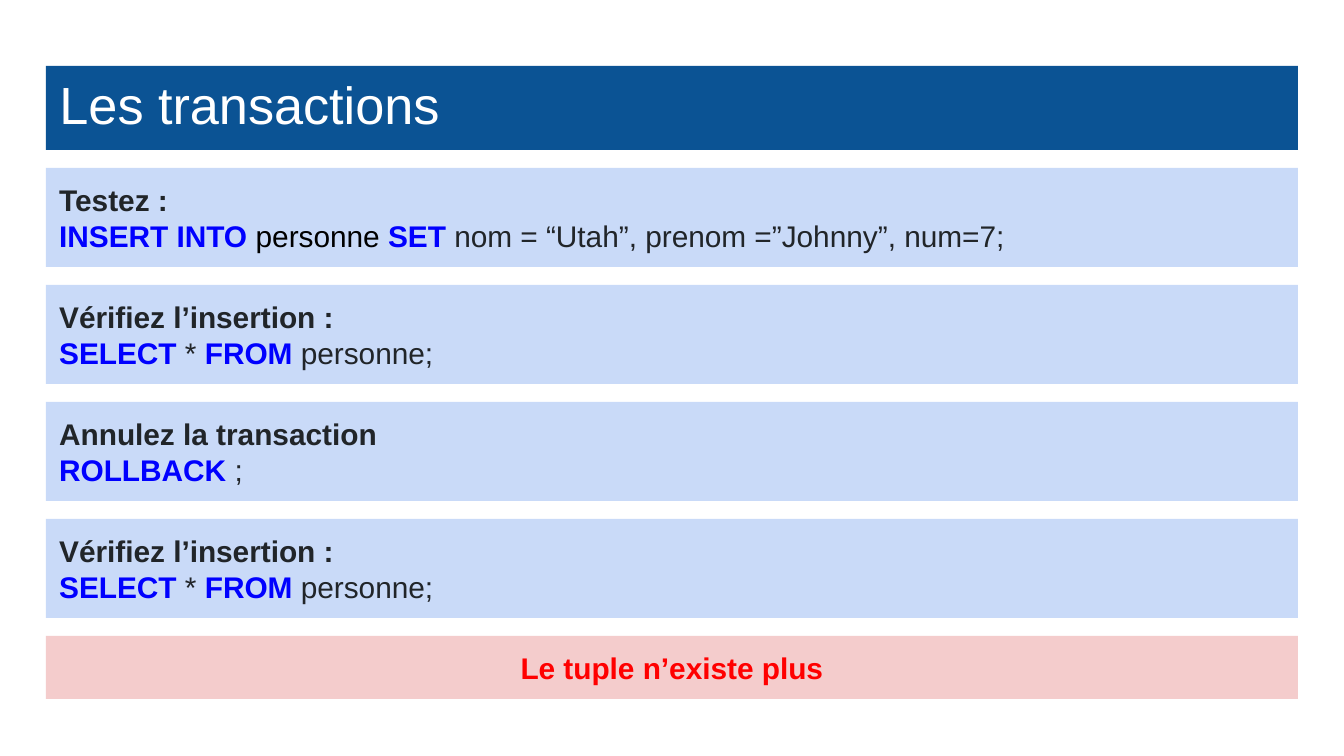
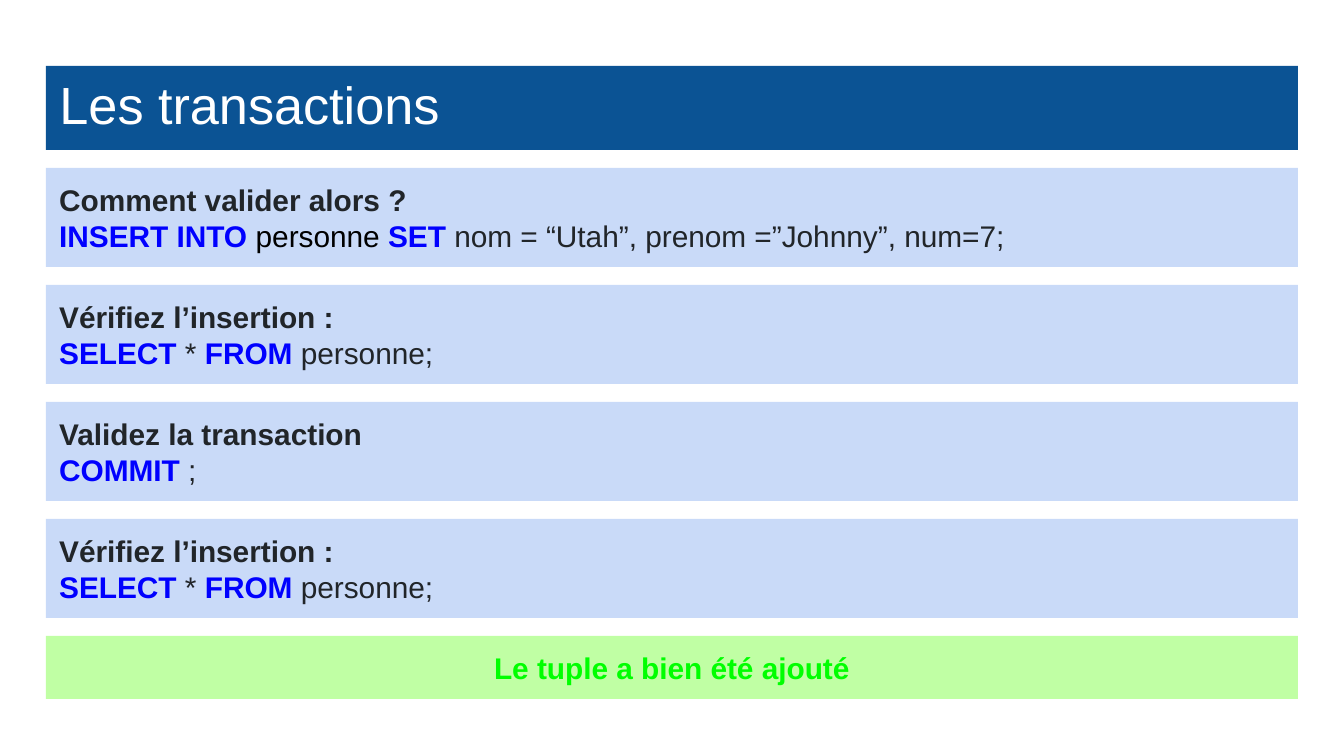
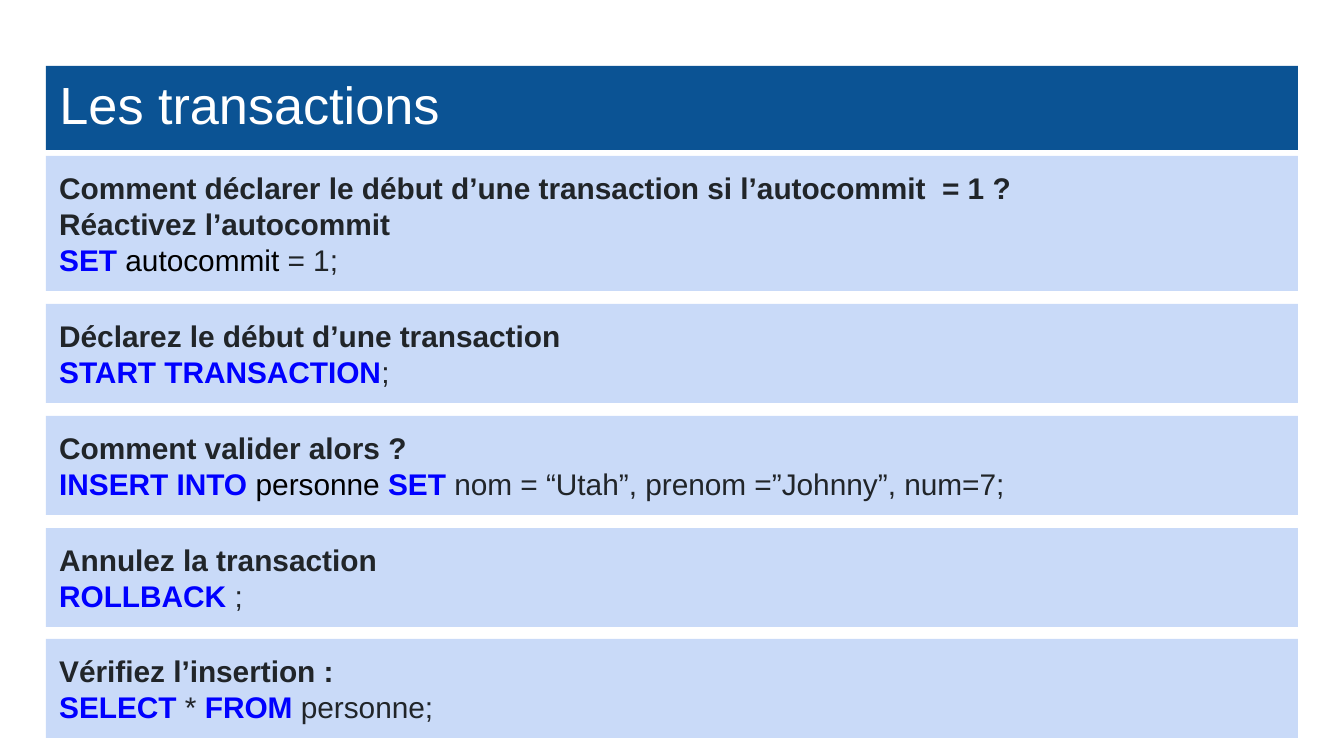
import dataclasses

import pptx
import pptx.dml.color
import pptx.enum.shapes
import pptx.enum.text
import pptx.util

ALIGN = pptx.enum.text.PP_ALIGN
ANCHOR = pptx.enum.text.MSO_ANCHOR
AUTO_SIZE = pptx.enum.text.MSO_AUTO_SIZE


# Shared look
@dataclasses.dataclass(frozen=True)
class Theme:
    font: str = "Arial"
    title_size: int = 28
    body_size: int = 16
    title_text: str = "FFFFFF"
    title_band: str = "0B5394"
    step_band: str = "C9DAF8"
    body_text: str = "212529"
    keyword: str = "0000FF"
    identifier: str = "000000"
    failure_band: str = "F4CCCC"
    failure_text: str = "FF0000"
    success_band: str = "C0FFA4"
    success_text: str = "00FF00"


THEME = Theme()

# Geometry in px
SLIDE_WIDTH, SLIDE_HEIGHT = 1344, 756
EMU_PER_PX = 9144000 / SLIDE_WIDTH
BAND_LEFT, BAND_WIDTH = 46, 1252
TITLE_TOP, TITLE_HEIGHT = 66, 84
LINE_HEIGHT, BAND_PADDING = 36, 27

# Run styles: colour and weight
HEADING = (THEME.body_text, True)
KEYWORD = (THEME.keyword, True)
IDENTIFIER = (THEME.identifier, False)
PLAIN = (THEME.body_text, False)

# SQL lines used on several slides
INSERT_PERSON = [
    ("INSERT INTO ", KEYWORD),
    ("personne", IDENTIFIER),
    (" SET", KEYWORD),
    (" nom = “Utah”, prenom =”Johnny”, num=7;", PLAIN),
]
SELECT_PERSONS = [
    ("SELECT", KEYWORD),
    (" * ", PLAIN),
    ("FROM", KEYWORD),
    (" personne;", PLAIN),
]
ROLLBACK = [("ROLLBACK", KEYWORD), (" ;", PLAIN)]
COMMIT = [("COMMIT", KEYWORD), (" ;", PLAIN)]


def px(length):
    return pptx.util.Emu(round(length * EMU_PER_PX))


def rgb(value):
    return pptx.dml.color.RGBColor.from_string(value)


def style_run(run, size, color, bold):
    run.font.name = THEME.font
    run.font.size = pptx.util.Pt(size)
    run.font.color.rgb = rgb(color)
    run.font.bold = bold


def style_band(band, fill, auto_size):
    band.fill.solid()
    band.fill.fore_color.rgb = rgb(fill)
    band.line.fill.background()
    frame = band.text_frame
    frame.word_wrap = True
    frame.auto_size = auto_size
    frame.vertical_anchor = ANCHOR.MIDDLE
    inset = pptx.util.Inches(0.1)
    frame.margin_left = frame.margin_right = inset
    frame.margin_top = frame.margin_bottom = inset


def add_titled_slide(deck, title):
    slide = deck.slides.add_slide(deck.slide_layouts[5])
    heading = slide.shapes.title
    heading.left, heading.top = px(BAND_LEFT), px(TITLE_TOP)
    heading.width, heading.height = px(BAND_WIDTH), px(TITLE_HEIGHT)
    style_band(heading, THEME.title_band, AUTO_SIZE.NONE)
    heading.text_frame.text = title
    paragraph = heading.text_frame.paragraphs[0]
    paragraph.alignment = ALIGN.LEFT
    paragraph.line_spacing = 0.9
    style_run(paragraph.runs[0], THEME.title_size, THEME.title_text, False)
    return slide


def add_band(slide, top, lines, fill=THEME.step_band, align=ALIGN.LEFT):
    """Add a band of styled lines and return its bottom edge in px."""
    height = len(lines) * LINE_HEIGHT + BAND_PADDING
    band = slide.shapes.add_shape(
        pptx.enum.shapes.MSO_SHAPE.RECTANGLE,
        px(BAND_LEFT), px(top), px(BAND_WIDTH), px(height))
    band.shadow.inherit = False
    style_band(band, fill, AUTO_SIZE.SHAPE_TO_FIT_TEXT)
    frame = band.text_frame
    for index, line in enumerate(lines):
        paragraph = frame.add_paragraph() if index else frame.paragraphs[0]
        paragraph.alignment = align
        for text, (color, bold) in line:
            run = paragraph.add_run()
            run.text = text
            style_run(run, THEME.body_size, color, bold)
    return top + height


def add_steps(slide, top, gap, steps):
    """Stack steps (headings, then SQL) and return the next free top."""
    for *headings, sql in steps:
        lines = [[(heading, HEADING)] for heading in headings] + [sql]
        top = add_band(slide, top, lines) + gap
    return top


def add_verdict(slide, top, text, fill, color):
    add_band(slide, top, [[(text, (color, True))]], fill, ALIGN.CENTER)


def main():
    deck = pptx.Presentation()
    deck.slide_width, deck.slide_height = px(SLIDE_WIDTH), px(SLIDE_HEIGHT)
    title = "Les transactions"
    check = ("Vérifiez l’insertion :", SELECT_PERSONS)
    validate = ("Comment valider alors ?", INSERT_PERSON)
    cancel = ("Annulez la transaction", ROLLBACK)

    # Insertion, then rollback
    slide = add_titled_slide(deck, title)
    verdict_top = add_steps(slide, 168, 18, [
        ("Testez :", INSERT_PERSON), check, cancel, check])
    add_verdict(slide, verdict_top, "Le tuple n’existe plus",
                THEME.failure_band, THEME.failure_text)

    # Insertion, then commit
    slide = add_titled_slide(deck, title)
    verdict_top = add_steps(slide, 168, 18, [
        validate, check, ("Validez la transaction", COMMIT), check])
    add_verdict(slide, verdict_top, "Le tuple a bien été ajouté",
                THEME.success_band, THEME.success_text)

    # Explicit transaction with autocommit on
    slide = add_titled_slide(deck, title)
    add_steps(slide, 156, 13, [
        ("Comment déclarer le début d’une transaction si l’autocommit  = 1 ?",
         "Réactivez l’autocommit",
         [("SET ", KEYWORD), ("autocommit ", IDENTIFIER), ("= 1;", PLAIN)]),
        ("Déclarez le début d’une transaction",
         [("START TRANSACTION", KEYWORD), (";", PLAIN)]),
        validate,
        cancel,
    ])
    add_steps(slide, 639, 0, [check])

    deck.save("out.pptx")


if __name__ == "__main__":
    main()
